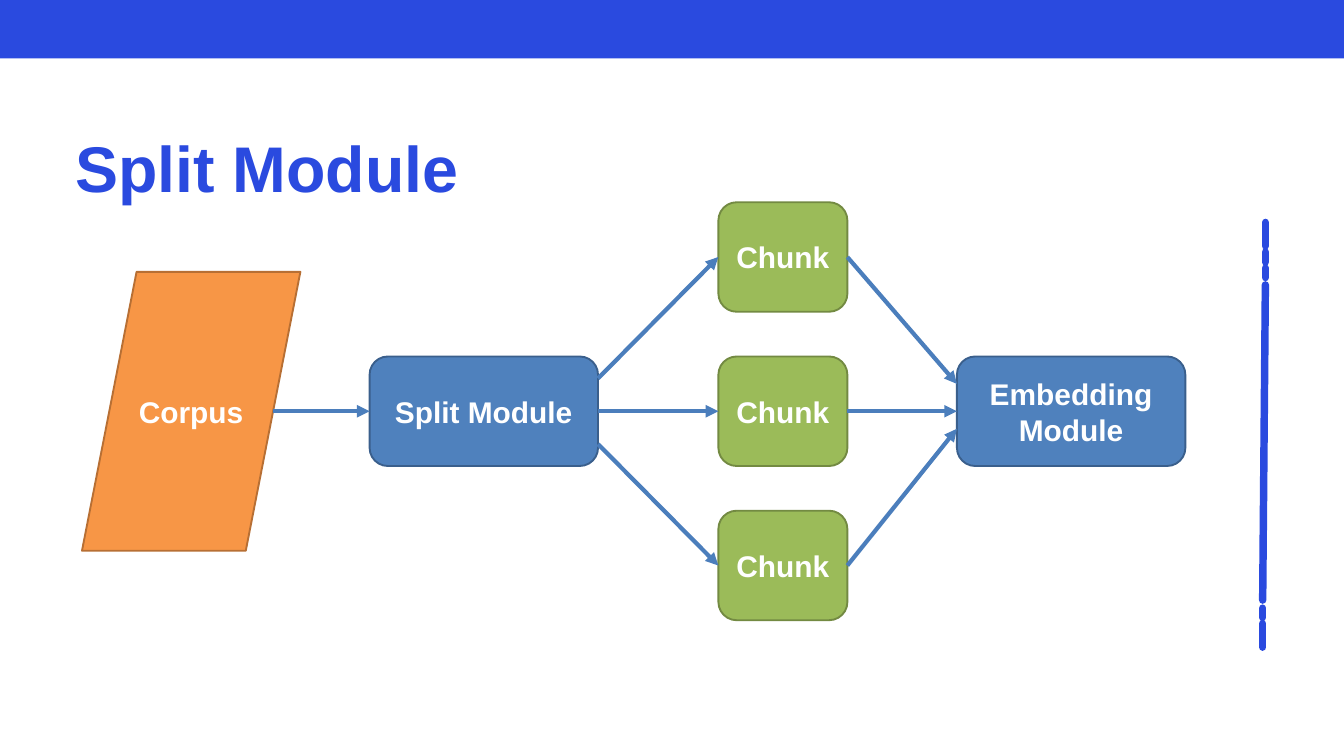
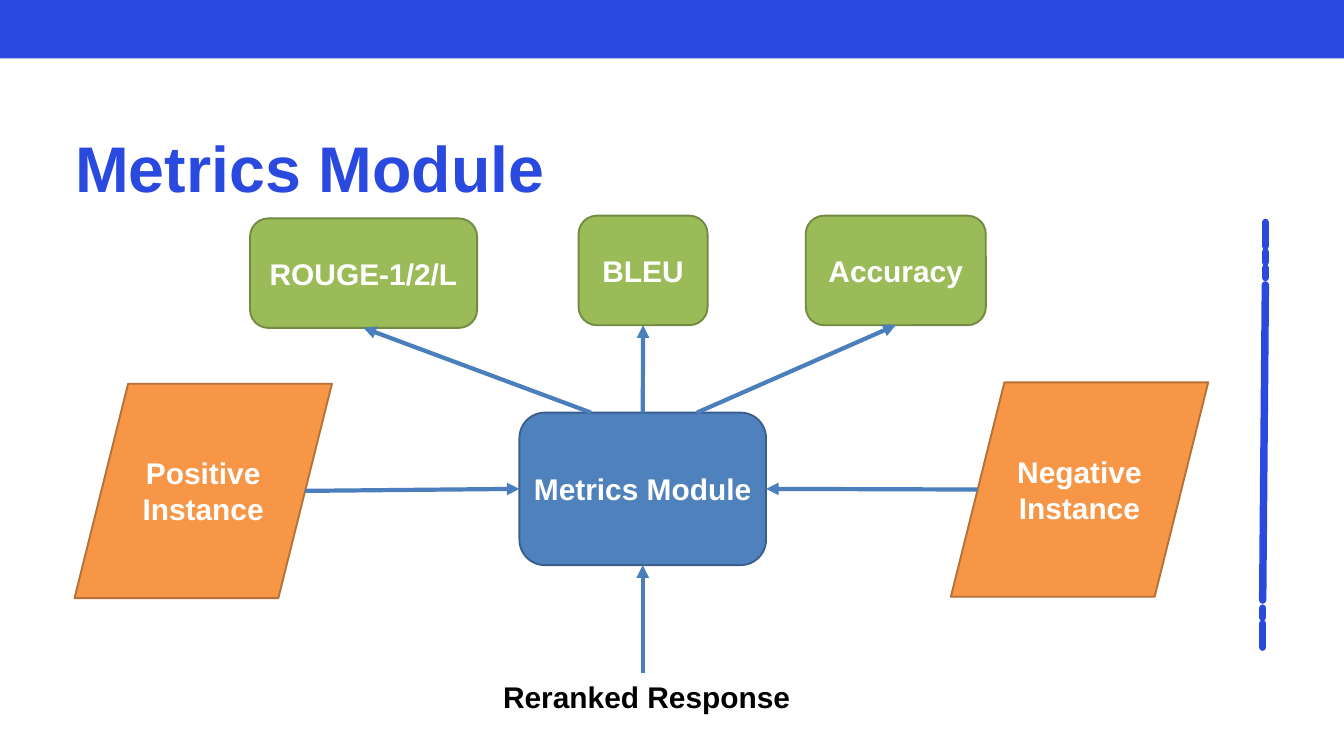
from dataclasses import dataclass

import pptx
import pptx.dml.color
import pptx.enum.shapes
import pptx.enum.text
import pptx.oxml
import pptx.oxml.ns
import pptx.util

Inches = pptx.util.Inches
Pt = pptx.util.Pt
RGBColor = pptx.dml.color.RGBColor
Shape = pptx.enum.shapes.MSO_SHAPE
Align = pptx.enum.text.PP_ALIGN
qn = pptx.oxml.ns.qn

BRAND = RGBColor(0x2A, 0x4A, 0xDF)
WHITE = RGBColor(0xFF, 0xFF, 0xFF)
BLACK = RGBColor(0x00, 0x00, 0x00)
ARROW = RGBColor(0x4B, 0x7E, 0xBC)

# Each kind of node: preset shape, fill, outline
DATA = (Shape.PARALLELOGRAM, RGBColor(0xF7, 0x96, 0x46), RGBColor(0xB7, 0x6F, 0x34))
MODULE = (Shape.ROUNDED_RECTANGLE, RGBColor(0x4F, 0x81, 0xBD), RGBColor(0x3A, 0x5F, 0x8C))
ITEM = (Shape.ROUNDED_RECTANGLE, RGBColor(0x9B, 0xBB, 0x59), RGBColor(0x73, 0x8A, 0x42))

FONT = "Arial"
NODE_HEIGHT = 1.63
ITEM_WIDTH = 1.92


@dataclass
class Box:
    left: float
    top: float
    width: float
    height: float

    def inner(self, left, top, width, height):
        """Box placed at an offset from this one's corner."""
        return Box(self.left + left, self.top + top, width, height)

    def point(self, across, down):
        """Point at fractions of the width and height."""
        return self.left + across * self.width, self.top + down * self.height

    def lengths(self):
        return [Inches(n) for n in (self.left, self.top, self.width, self.height)]


# Shared parts
def write(frame, text, size, color, align):
    para = frame.paragraphs[0]
    para.text = text
    para.alignment = align
    para.font.name = FONT
    para.font.size = Pt(size)
    para.font.bold = True
    para.font.color.rgb = color
    return para


def add_node(page, box, kind, text):
    preset, fill, outline = kind
    node = page.shapes.add_shape(preset, *box.lengths())
    node.shadow.inherit = False
    node.fill.solid()
    node.fill.fore_color.rgb = fill
    node.line.color.rgb = outline
    node.line.width = Pt(2)
    node.text_frame.word_wrap = True
    node.text_frame.vertical_anchor = pptx.enum.text.MSO_ANCHOR.MIDDLE
    write(node.text_frame, text, 32, WHITE, Align.CENTER)


def add_line(page, start, end, color, width):
    line = page.shapes.add_connector(
        pptx.enum.shapes.MSO_CONNECTOR.STRAIGHT, *[Inches(n) for n in (*start, *end)])
    line.line.color.rgb = color
    line.line.width = Pt(width)
    properties = line._element.spPr
    pptx.oxml.ns  # namespace helpers
    properties.append(properties.makeelement(qn("a:effectLst"), {}))
    return properties.find(qn("a:ln"))


def add_arrow(page, start, end):
    outline = add_line(page, start, end, ARROW, 4.5)
    outline.append(outline.makeelement(qn("a:tailEnd"), {"type": "triangle"}))


def add_band(page, box):
    band = page.shapes.add_shape(Shape.RECTANGLE, *box.lengths())
    band.shadow.inherit = False
    band.fill.solid()
    band.fill.fore_color.rgb = BRAND
    band.line.fill.background()


def add_title(page, box, text):
    frame = page.shapes.add_textbox(*box.lengths()).text_frame
    frame.word_wrap = True
    frame.auto_size = pptx.enum.text.MSO_AUTO_SIZE.SHAPE_TO_FIT_TEXT
    frame.margin_left = frame.margin_right = frame.margin_top = frame.margin_bottom = 0
    write(frame, text, 69.1, BRAND, Align.LEFT).line_spacing = Pt(96.8)


def add_dashes(page, box):
    """Broken vertical rule whose long stroke leans from right to left."""
    right = box.left + box.width
    strokes = [(right, 0, right, 0.35), (right, 0.44, right, 0.59),
               (right, 0.68, right, 0.82), (right, 0.93, box.left, 5.62),
               (box.left, 5.74, box.left, 5.88), (box.left, 5.97, box.left, box.height)]
    for x1, y1, x2, y2 in strokes:
        outline = add_line(page, (x1, box.top + y1), (x2, box.top + y2), BRAND, 8)
        outline.set("cap", "rnd")


def add_page(deck, title):
    page = deck.slides.add_slide(deck.slide_layouts[6])
    add_title(page, Box(1.12, 1.71, 8.88, 1.24), title)
    add_band(page, Box(0, 0, 20, 0.87))
    add_dashes(page, Box(18.79, 3.31, 0.04, 6.32))
    return page


# Corpus split into chunks that feed the embedding module
def split_diagram(page, box):
    module_width = 3.4
    middle = (box.height - NODE_HEIGHT) / 2
    corpus = box.inner(0, (box.height - 4.15) / 2, 3.25, 4.15)
    split = box.inner(4.28, middle, module_width, NODE_HEIGHT)
    embedding = box.inner(box.width - module_width, middle, module_width, NODE_HEIGHT)
    chunks = [box.inner(9.47, row * middle, ITEM_WIDTH, NODE_HEIGHT) for row in range(3)]

    add_node(page, corpus, DATA, "Corpus")
    add_node(page, split, MODULE, "Split Module")
    add_node(page, embedding, MODULE, "Embedding Module")
    add_arrow(page, corpus.point(0.875, 0.5), split.point(0, 0.5))
    for chunk, leave, arrive in zip(chunks, (0.2, 0.5, 0.8), (0.25, 0.5, 0.66)):
        add_node(page, chunk, ITEM, "Chunk")
        add_arrow(page, split.point(1, leave), chunk.point(0, 0.5))
        add_arrow(page, chunk.point(1, 0.5), embedding.point(0, arrive))


# Instances and response going into the metrics module, scores coming out
def metrics_diagram(page, box):
    instance_width, instance_height = 3.83, 3.19
    metrics = box.inner(6.62, 2.93, 3.67, 2.27)
    positive = box.inner(0, 2.5, instance_width, instance_height)
    negative = box.inner(box.width - instance_width, 2.48, instance_width, instance_height)
    response = box.inner(6.26, 6.84, 4.51, 0.64)

    add_node(page, positive, DATA, "Positive Instance")
    add_node(page, negative, DATA, "Negative Instance")
    add_node(page, metrics, MODULE, "Metrics Module")
    add_arrow(page, positive.point(0.896, 0.5), metrics.point(0, 0.5))
    add_arrow(page, negative.point(0.104, 0.5), metrics.point(1, 0.5))

    scores = [("ROUGE-1/2/L", 2.61, 0.04, 3.38, 0.29),
              ("BLEU", 7.5, 0, ITEM_WIDTH, 0.5),
              ("Accuracy", 10.88, 0, 2.68, 0.72)]
    for name, left, top, width, leave in scores:
        score = box.inner(left, top, width, NODE_HEIGHT)
        add_node(page, score, ITEM, name)
        add_arrow(page, metrics.point(leave, 0), score.point(0.5, 1))

    frame = page.shapes.add_textbox(*response.lengths()).text_frame
    frame.word_wrap = False
    frame.auto_size = pptx.enum.text.MSO_AUTO_SIZE.SHAPE_TO_FIT_TEXT
    write(frame, "Reranked Response", 32, BLACK, Align.CENTER)
    bottom = metrics.point(0.5, 1)
    add_arrow(page, (bottom[0], response.top - 0.04), bottom)


def main():
    deck = pptx.Presentation()
    deck.slide_width = Inches(20)
    deck.slide_height = Inches(11.25)
    split_diagram(add_page(deck, "Split Module"), Box(1.22, 3.01, 16.42, 6.22))
    metrics_diagram(add_page(deck, "Metrics Module"), Box(1.11, 3.21, 16.87, 7.48))
    deck.save("out.pptx")


if __name__ == "__main__":
    main()
